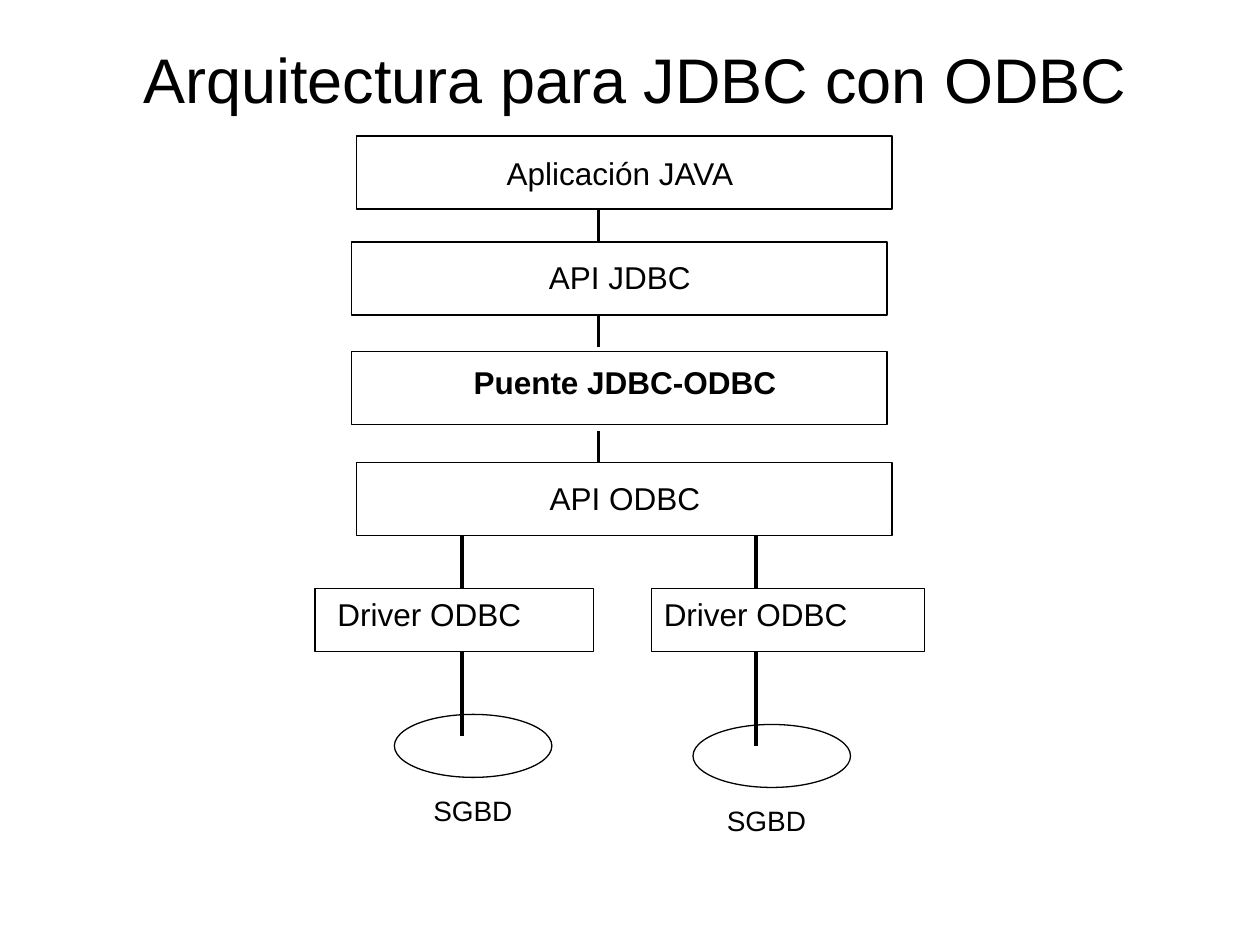
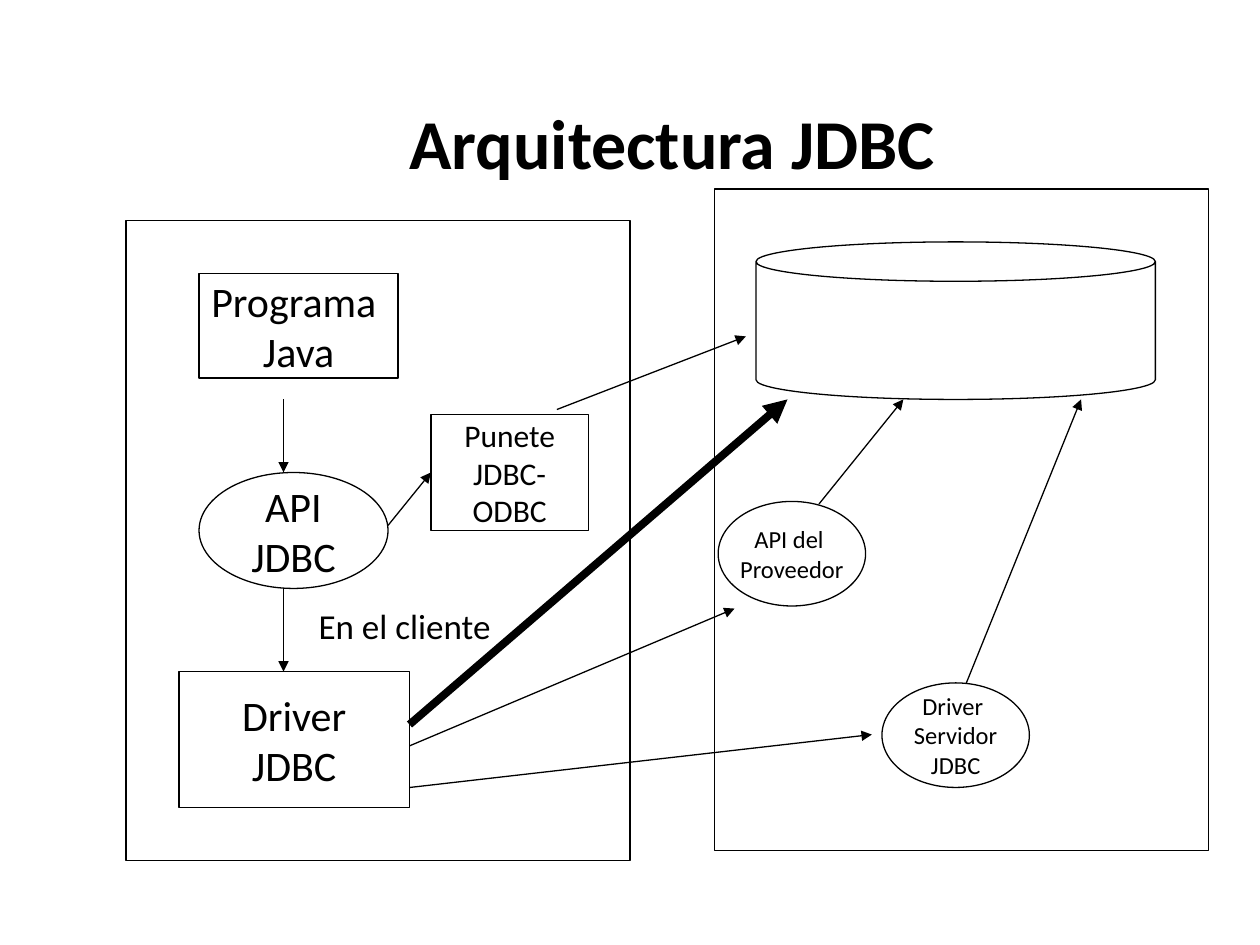
from lxml import etree
from pptx import Presentation
from pptx.dml.color import RGBColor
from pptx.enum.shapes import MSO_CONNECTOR, MSO_SHAPE
from pptx.enum.text import MSO_ANCHOR, PP_ALIGN
from pptx.oxml.ns import qn
from pptx.util import Inches, Pt

RECT, OVAL, CAN = MSO_SHAPE.RECTANGLE, MSO_SHAPE.OVAL, MSO_SHAPE.CAN
STRAIGHT = MSO_CONNECTOR.STRAIGHT
CENTER, LEFT = PP_ALIGN.CENTER, PP_ALIGN.LEFT
MIDDLE, TOP = MSO_ANCHOR.MIDDLE, MSO_ANCHOR.TOP

INK, PAPER = "000000", "FFFFFF"
ARIAL, CALIBRI = "Arial", "Calibri"
THIN, MEDIUM, THICK = 0.75, 2.25, 4.5


def color(value):
    return RGBColor.from_string(value)


def write(shape, lines, font, size, bold=False, align=CENTER, anchor=MIDDLE, wrap=False):
    """Fill a shape or text box with one paragraph for each line."""
    frame = shape.text_frame
    frame.word_wrap = wrap
    frame.vertical_anchor = anchor
    for index, line in enumerate(lines):
        para = frame.add_paragraph() if index else frame.paragraphs[0]
        para.text = line
        para.alignment = align
        para.font.name = font
        para.font.size = Pt(size)
        para.font.bold = bold
        para.font.color.rgb = color(INK)


def add_label(page, box, text, font, size, **style):
    label = page.shapes.add_textbox(*map(Inches, box))
    write(label, [text], font, size, **style)


def add_title(page, box, text, font, size, bold=False):
    add_label(page, box, text, font, size, bold=bold, wrap=True)


def add_outline(page, kind, box, fill=None):
    shape = page.shapes.add_shape(kind, *map(Inches, box))
    shape.shadow.inherit = False
    if fill:
        shape.fill.solid()
        shape.fill.fore_color.rgb = color(fill)
    else:
        shape.fill.background()
    shape.line.color.rgb = color(INK)
    shape.line.width = Pt(THIN)
    return shape


def add_node(page, kind, box, lines, size):
    write(add_outline(page, kind, box), lines, CALIBRI, size)


def add_line(page, start, end, width=THIN, arrow=True):
    link = page.shapes.add_connector(STRAIGHT, *map(Inches, (*start, *end)))
    link.line.color.rgb = color(INK)
    link.line.width = Pt(width)
    properties = link._element.spPr
    if arrow:
        etree.SubElement(properties.find(qn("a:ln")), qn("a:tailEnd"), type="triangle")
    etree.SubElement(properties, qn("a:effectLst"))


# Slide 1: layers above, one branch for each database below
def add_layers(page, left, top):
    # text, box offset (x, y), label offset y, label width, bold
    layers = [
        ("Aplicación JAVA", 0.04, 0, 0.09, 4, False),
        ("API JDBC", 0, 0.84, 0.92, 4, False),
        ("Puente JDBC-ODBC", 0, 1.71, 1.75, 4.08, True),
        ("API ODBC", 0.04, 2.59, 2.67, 4.08, False),
    ]
    for text, x, y, label_y, label_width, bold in layers:
        add_outline(page, RECT, (left + x, top + y, 4.25, 0.58))
        add_label(page, (left + 0.13, top + label_y, label_width, 0.4), text,
                  ARIAL, 18, bold=bold, anchor=TOP, wrap=True)
    axis = left + 1.96
    for y in (0.59, 1.42, 2.34):
        add_line(page, (axis, top + y), (axis, top + y + 0.25), MEDIUM, arrow=False)


def add_branch(page, box, axis, label_left, oval_left, oval_top):
    left, top, width, height = box
    bottom = top + height
    add_outline(page, RECT, box)
    add_label(page, (label_left, top, 2.17, 0.4), "Driver ODBC",
              ARIAL, 18, align=LEFT, anchor=TOP, wrap=True)
    add_outline(page, OVAL, (oval_left, oval_top, 1.25, 0.5), PAPER)
    add_label(page, (axis - 0.33, oval_top + 0.58, 0.92, 0.37), "SGBD",
              ARIAL, 16, align=LEFT, anchor=TOP, wrap=True)
    add_line(page, (axis, top - 0.42), (axis, top), MEDIUM, arrow=False)
    add_line(page, (axis, bottom), (axis, oval_top + 0.17), MEDIUM, arrow=False)


def build_odbc_slide(page):
    add_title(page, (0.5, 0, 9.08, 1.25), "Arquitectura para JDBC con ODBC", ARIAL, 36)
    add_layers(page, 2.79, 1.08)
    add_branch(page, (2.5, 4.67, 2.21, 0.5), 3.67, 2.58, 3.13, 5.67)
    add_branch(page, (5.17, 4.67, 2.17, 0.5), 6, 5.17, 5.5, 5.75)


# Slide 2: client and server frames joined by arrows
def add_client(page, box):
    left, top = box[:2]
    add_outline(page, RECT, box)
    nodes = [
        (RECT, (0.58, 0.42, 1.58, 0.83), ["Programa ", "Java"], 24),
        (OVAL, (0.58, 2, 1.5, 0.92), ["API", "JDBC"], 24),
        (RECT, (0.42, 3.58, 1.83, 1.08), ["Driver", "JDBC"], 24),
        (RECT, (2.42, 1.54, 1.25, 0.92), ["Punete", "JDBC-", "ODBC"], 18),
    ]
    for kind, (x, y, width, height), lines, size in nodes:
        add_node(page, kind, (left + x, top + y, width, height), lines, size)
    add_label(page, (left + 1.43, top + 3, 1.57, 0.44), "En el cliente",
              CALIBRI, 20, align=LEFT, anchor=TOP)
    for x1, y1, x2, y2 in [(1.25, 1.42, 1.25, 2), (1.25, 2.92, 1.25, 3.58),
                           (2.08, 2.42, 2.42, 2)]:
        add_line(page, (left + x1, top + y1), (left + x2, top + y2))


def add_server(page, box):
    left, top = box[:2]
    add_outline(page, RECT, box)
    database = add_outline(page, CAN, (left + 0.33, top + 0.42, 3.17, 1.25))
    database.adjustments[0] = 0.25
    for x, y, lines in [(0.03, 2.48, ["API del ", "Proveedor"]),
                        (1.33, 3.92, ["Driver ", "Servidor", "JDBC"])]:
        add_node(page, OVAL, (left + x, top + y, 1.17, 0.83), lines, 14)
    for x1, y1, x2, y2 in [(0.83, 2.5, 1.5, 1.67), (2, 3.92, 2.91, 1.67)]:
        add_line(page, (left + x1, top + y1), (left + x2, top + y2))


def add_client_server_links(page):
    add_line(page, (4.42, 3.25), (5.92, 2.67))
    driver_right = 3.25
    for y, end, width in [(5.75, (6.25, 3.17), THICK),
                          (5.92, (5.83, 4.83), THIN),
                          (6.25, (6.92, 5.83), THIN)]:
        add_line(page, (driver_right, y), end, width)


def build_jdbc_slide(page):
    add_title(page, (1.17, 0.83, 8.33, 0.58), "Arquitectura JDBC", CALIBRI, 40, bold=True)
    add_client(page, (1, 1.75, 4, 5.08))
    add_server(page, (5.67, 1.5, 3.92, 5.25))
    add_client_server_links(page)


def main():
    deck = Presentation()
    deck.slide_width, deck.slide_height = Inches(10), Inches(7.5)
    blank = deck.slide_layouts[6]
    for build in (build_odbc_slide, build_jdbc_slide):
        page = deck.slides.add_slide(blank)
        page.background.fill.solid()
        page.background.fill.fore_color.rgb = color(PAPER)
        build(page)
    deck.save("out.pptx")


if __name__ == "__main__":
    main()
